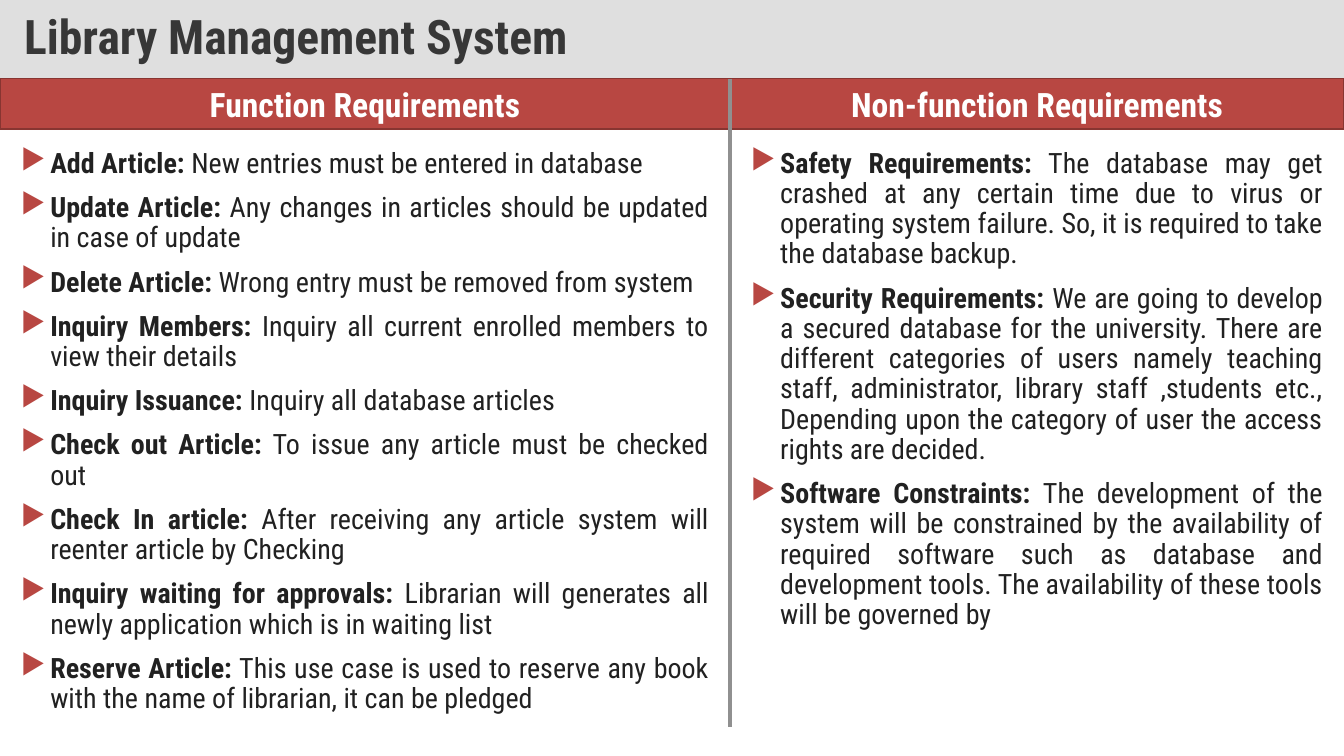
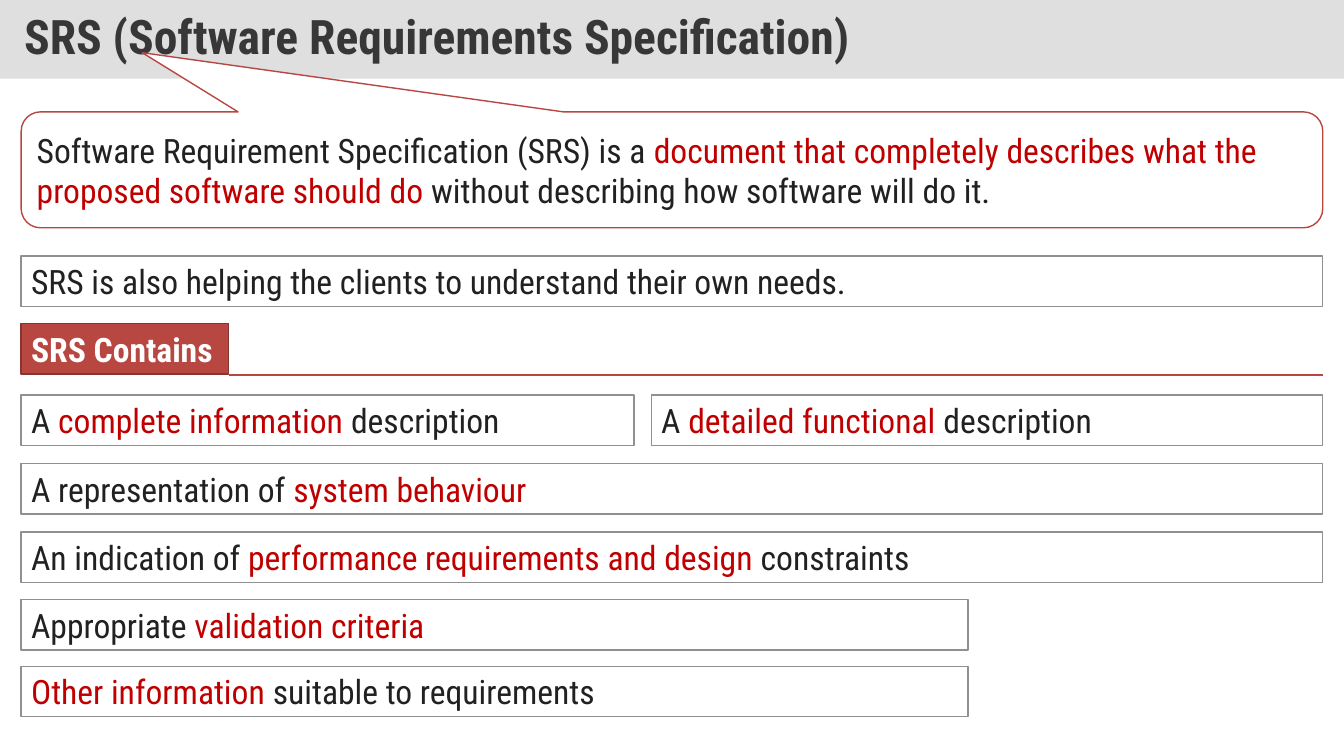
import pptx
import pptx.dml.color
import pptx.enum.shapes
import pptx.enum.text
import pptx.oxml.ns
import pptx.util
from lxml import etree
from pptx.util import Inches, Pt

FONT = "Roboto Condensed"
RED, DARK_RED, ACCENT = "B84742", "883531", "C00000"
INK, TITLE_INK, GREY, BAND, WHITE = "212121", "373737", "909090", "C0C0C0", "FFFFFF"
WIDTH, HEIGHT = 13.33, 7.5
TITLE_H, ROW_H = 0.78, 0.5
LEFT, RIGHT = 0.21, 13.12
SPLIT = 7.24

LIBRARY_TITLE = "Library Management System"
# heading, left, right, [(term, explanation)]
COLUMNS = [
    ("Function Requirements", 0, SPLIT, [
        ("Add Article:", "New entries must be entered in database"),
        ("Update Article:", "Any changes in articles should be updated in case of update"),
        ("Delete Article:", "Wrong entry must be removed from system"),
        ("Inquiry Members:", "Inquiry all current enrolled members to view their details"),
        ("Inquiry Issuance:", "Inquiry all database articles"),
        ("Check out Article:", "To issue any article must be checked out"),
        ("Check In article:", "After receiving any article system will reenter article by Checking"),
        ("Inquiry waiting for approvals:",
         "Librarian will generates all newly application which is in waiting list"),
        ("Reserve Article:",
         "This use case is used to reserve any book with the name of librarian, it can be pledged"),
    ]),
    ("Non-function Requirements", SPLIT, WIDTH, [
        ("Safety Requirements:",
         "The database may get crashed at any certain time due to virus or operating system "
         "failure. So, it is required to take the database backup."),
        ("Security Requirements:",
         "We are going to develop a secured database for the university. There are different "
         "categories of users namely teaching staff, administrator, library staff ,students "
         "etc., Depending upon the category of user the access rights are decided."),
        ("Software Constraints:",
         "The development of the system will be constrained by the availability of required "
         "software such as database and development tools. The availability of these tools "
         "will be governed by"),
    ]),
]

SRS_TITLE = "SRS (Software Requirements Specification)"
# Text between bars is emphasised
SRS_DEFINITION = ("Software Requirement Specification (SRS) is a |document that completely "
                  "describes what the proposed software should do |without describing how "
                  "software will do it.")
SRS_HEADING = "SRS Contains"
# text, left, top, right
SRS_ROWS = [
    ("SRS is also helping the clients to understand their own needs.", LEFT, 2.54, RIGHT),
    ("A |complete information |description", LEFT, 3.92, 6.29),
    ("A |detailed functional |description", 6.46, 3.92, RIGHT),
    ("A representation of |system behaviour", LEFT, 4.6, RIGHT),
    ("An indication of| performance requirements and design |constraints", LEFT, 5.28, RIGHT),
    ("Appropriate |validation criteria", LEFT, 5.95, 9.6),
    ("|Other information |suitable to requirements", LEFT, 6.61, 9.6),
]

SHAPE = pptx.enum.shapes.MSO_SHAPE
ALIGN = pptx.enum.text.PP_ALIGN
ANCHOR = pptx.enum.text.MSO_ANCHOR


def rgb(color):
    return pptx.dml.color.RGBColor.from_string(color)


def sub(parent, tag, **attrs):
    return etree.SubElement(parent, pptx.oxml.ns.qn(tag), **attrs)


def add_run(p, text, size, color, bold=False):
    r = p.add_run()
    r.text = text
    r.font.name, r.font.size, r.font.bold = FONT, Pt(size), bold
    r.font.color.rgb = rgb(color)


def add_box(s, x, y, w, h, fill, line=None, kind=SHAPE.RECTANGLE):
    sp = s.shapes.add_shape(kind, Inches(x), Inches(y), Inches(w), Inches(h))
    sp.shadow.inherit = False
    sp.fill.solid()
    sp.fill.fore_color.rgb = rgb(fill)
    if line:
        sp.line.color.rgb = rgb(line)
        sp.line.width = Pt(1)
    else:
        sp.line.fill.background()
    sp.text_frame.word_wrap = True
    sp.text_frame.vertical_anchor = ANCHOR.MIDDLE
    sp.text_frame.paragraphs[0].alignment = ALIGN.LEFT
    return sp


def add_line(s, x1, y1, x2, y2, color, width):
    line = s.shapes.add_connector(pptx.enum.shapes.MSO_CONNECTOR.STRAIGHT,
                                  Inches(x1), Inches(y1), Inches(x2), Inches(y2))
    line.line.color.rgb = rgb(color)
    line.line.width = Pt(width)
    sub(line._element.spPr, "a:effectLst")


def add_heading(s, text, x, y, w, align):
    sp = add_box(s, x, y, w, ROW_H, RED, DARK_RED)
    p = sp.text_frame.paragraphs[0]
    p.alignment = align
    add_run(p, text, 24, WHITE, True)


def add_marked_text(sp, text):
    """Write text, colouring every second part between bars."""
    for i, part in enumerate(text.split("|")):
        if part:
            add_run(sp.text_frame.paragraphs[0], part, 24, ACCENT if i % 2 else INK)


def add_bullets(s, items, x, y, w, h):
    tf = s.shapes.add_textbox(Inches(x), Inches(y), Inches(w), Inches(h)).text_frame
    tf.word_wrap = True
    for i, (term, explanation) in enumerate(items):
        p = tf.add_paragraph() if i else tf.paragraphs[0]
        pPr = p._p.get_or_add_pPr()
        pPr.set("marL", str(Inches(0.29)))
        pPr.set("indent", str(-Inches(0.29)))
        sub(sub(pPr, "a:buClr"), "a:srgbClr", val=RED)
        sub(pPr, "a:buChar", char="▶")
        p.alignment = ALIGN.JUSTIFY
        p.line_spacing = 0.9
        p.space_before = Pt(10 if i else 0)
        add_run(p, term, 20, INK, True)
        add_run(p, " " + explanation, 20, INK)


def add_slide(prs, title):
    s = prs.slides.add_slide(prs.slide_layouts[6])
    sp = add_box(s, 0, 0, WIDTH, TITLE_H, BAND)
    color = sp._element.spPr.find(".//" + pptx.oxml.ns.qn("a:srgbClr"))
    sub(color, "a:alpha", val="50000")
    tf = sp.text_frame
    tf.margin_left = tf.margin_right = Inches(0.24)
    tf.margin_top = tf.margin_bottom = Inches(0.12)
    tf.paragraphs[0].line_spacing = 0.9
    add_run(tf.paragraphs[0], title, 34, TITLE_INK, True)
    return s


def build_library(prs):
    s = add_slide(prs, LIBRARY_TITLE)
    for heading, left, right, items in COLUMNS:
        add_heading(s, heading, left, TITLE_H, right - left, ALIGN.CENTER)
        add_bullets(s, items, left + 0.11, 1.43, right - left - 0.22, 5.33)
    add_line(s, SPLIT, TITLE_H, SPLIT, 7.21, GREY, 3)


def build_srs(prs):
    s = add_slide(prs, SRS_TITLE)
    callout = add_box(s, LEFT, 1.11, RIGHT - LEFT, 1.15, WHITE, RED,
                      SHAPE.ROUNDED_RECTANGULAR_CALLOUT)
    for i, value in enumerate((-0.407, -1.011, 0.167)):
        callout.adjustments[i] = value
    add_marked_text(callout, SRS_DEFINITION)
    add_heading(s, SRS_HEADING, LEFT, 3.21, 2.06, ALIGN.LEFT)
    add_line(s, LEFT + 2.06, 3.72, RIGHT, 3.72, RED, 1)
    for text, left, top, right in SRS_ROWS:
        add_marked_text(add_box(s, left, top, right - left, ROW_H, WHITE, GREY), text)


def main():
    prs = pptx.Presentation()
    prs.slide_width, prs.slide_height = Inches(WIDTH), Inches(HEIGHT)
    build_library(prs)
    build_srs(prs)
    prs.save("out.pptx")


if __name__ == "__main__":
    main()
